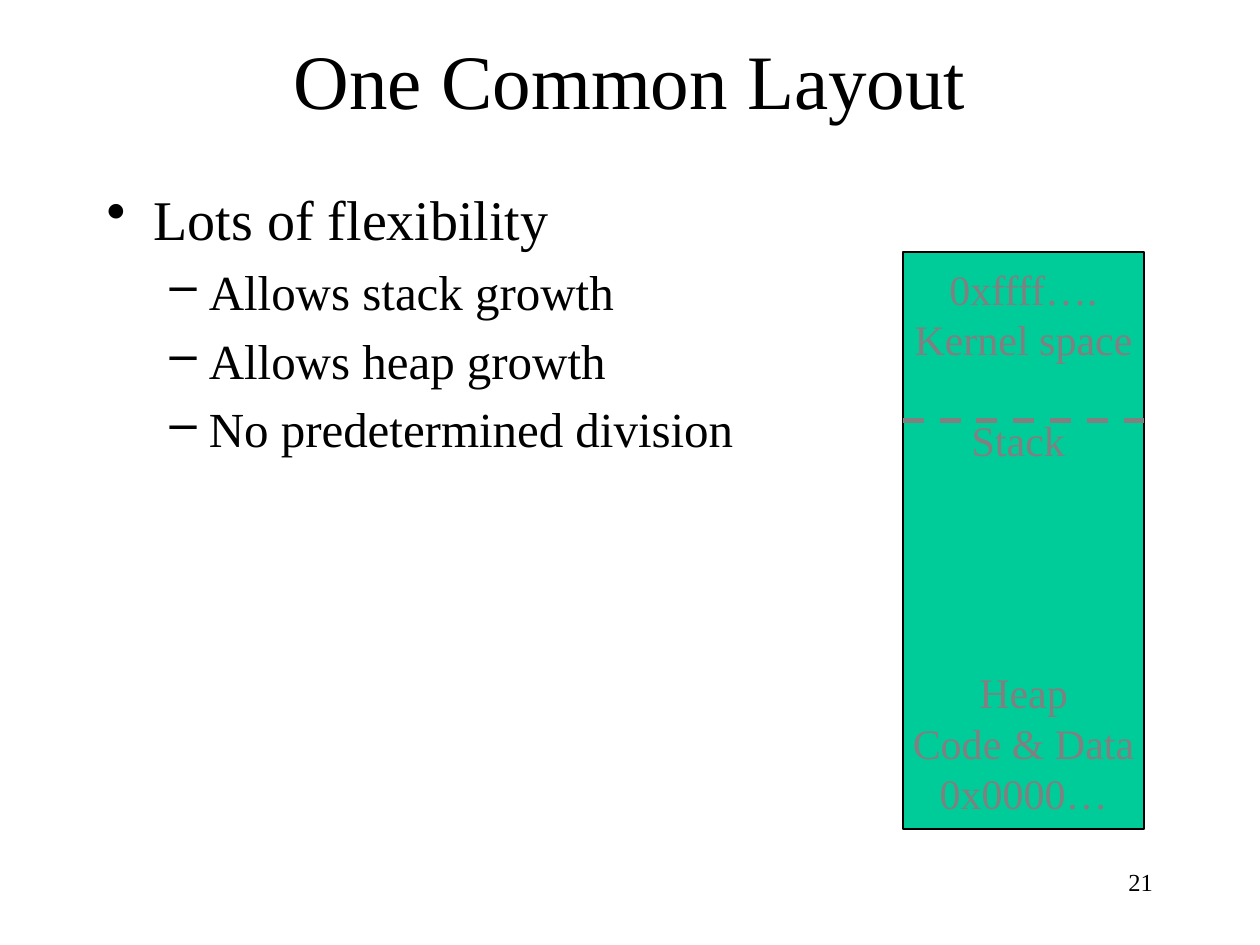
"""Build the slide showing one common layout of an address space."""
from collections import namedtuple

from lxml import etree
from pptx import Presentation
from pptx import util as u
from pptx.dml.color import RGBColor
from pptx.enum import dml, shapes, text
from pptx.oxml import ns

Theme = namedtuple("Theme", "font black gray green title body sub label page lead")
theme = Theme(
    font="Times New Roman",
    black=RGBColor(0, 0, 0),
    gray=RGBColor(128, 128, 128),
    green=RGBColor(0, 204, 153),
    title=44, body=32, sub=28, label=24, page=14, lead=1.2,
)
align = text.PP_ALIGN


def write(frame, words, size, color=theme.black, side=align.LEFT, before=0,
          bullet=None, left=0, hang=0):
    """Add one formatted paragraph to a text frame."""
    first = frame.paragraphs[0]
    para = frame.add_paragraph() if first.runs else first
    para.alignment = side
    para.space_before = u.Pt(before)
    para.line_spacing = u.Pt(size * theme.lead)
    run = para.add_run()
    run.text = words
    run.font.name = theme.font
    run.font.size = u.Pt(size)
    run.font.color.rgb = color
    if bullet:
        props = para._p.get_or_add_pPr()
        props.set("marL", str(u.Cm(left)))
        props.set("indent", str(-u.Cm(hang)))
        etree.SubElement(props, ns.qn("a:buChar")).set("char", bullet)


deck = Presentation()
deck.slide_width, deck.slide_height = u.Cm(25.4), u.Cm(19.05)
slide = deck.slides.add_slide(deck.slide_layouts[6])

boxes = []
for place in ((18.2, 17.36, 5.29, 1.27), (1.9, 0, 21.6, 3.18), (1.9, 3.6, 21.6, 13.34)):
    frame = slide.shapes.add_textbox(*map(u.Cm, place)).text_frame
    frame.word_wrap = True
    boxes.append(frame)
page, title, body = boxes

write(page, "21", theme.page, side=align.RIGHT)
title.vertical_anchor = text.MSO_ANCHOR.MIDDLE
write(title, "One Common Layout", theme.title, side=align.CENTER)

write(body, "Lots of flexibility", theme.body, before=theme.body * 0.2,
      bullet="•", left=0.95, hang=0.95)
for point in ("Allows stack growth", "Allows heap growth", "No predetermined division"):
    write(body, point, theme.sub, before=theme.sub * 0.2,
          bullet="–", left=2.06, hang=0.79)

left, top, width, height = map(u.Cm, (18.2, 5.08, 4.87, 11.64))
space = slide.shapes.add_shape(shapes.MSO_SHAPE.RECTANGLE, left, top, width, height)
space.shadow.inherit = False
space.fill.solid()
space.fill.fore_color.rgb = theme.green
space.line.color.rgb = theme.black
space.line.width = u.Pt(1)
space.text_frame.word_wrap = False
space.text_frame.vertical_anchor = text.MSO_ANCHOR.MIDDLE
labels = (("0xffff….", 0), ("Kernel space", 0), ("Stack ", 1), ("Heap", 4),
          ("Code & Data", 0), ("0x0000…", 0))
for label, gap in labels:
    write(space.text_frame, label, theme.label, color=theme.gray, side=align.CENTER,
          before=gap * theme.label * theme.lead)

edge = u.Cm(8.47)
split = slide.shapes.add_connector(shapes.MSO_CONNECTOR.STRAIGHT, left, edge, left + width, edge)
split.line.color.rgb = theme.gray
split.line.width = u.Pt(3)
split.line.dash_style = dml.MSO_LINE.DASH
etree.SubElement(split._element.spPr, ns.qn("a:effectLst"))

deck.save("out.pptx")
